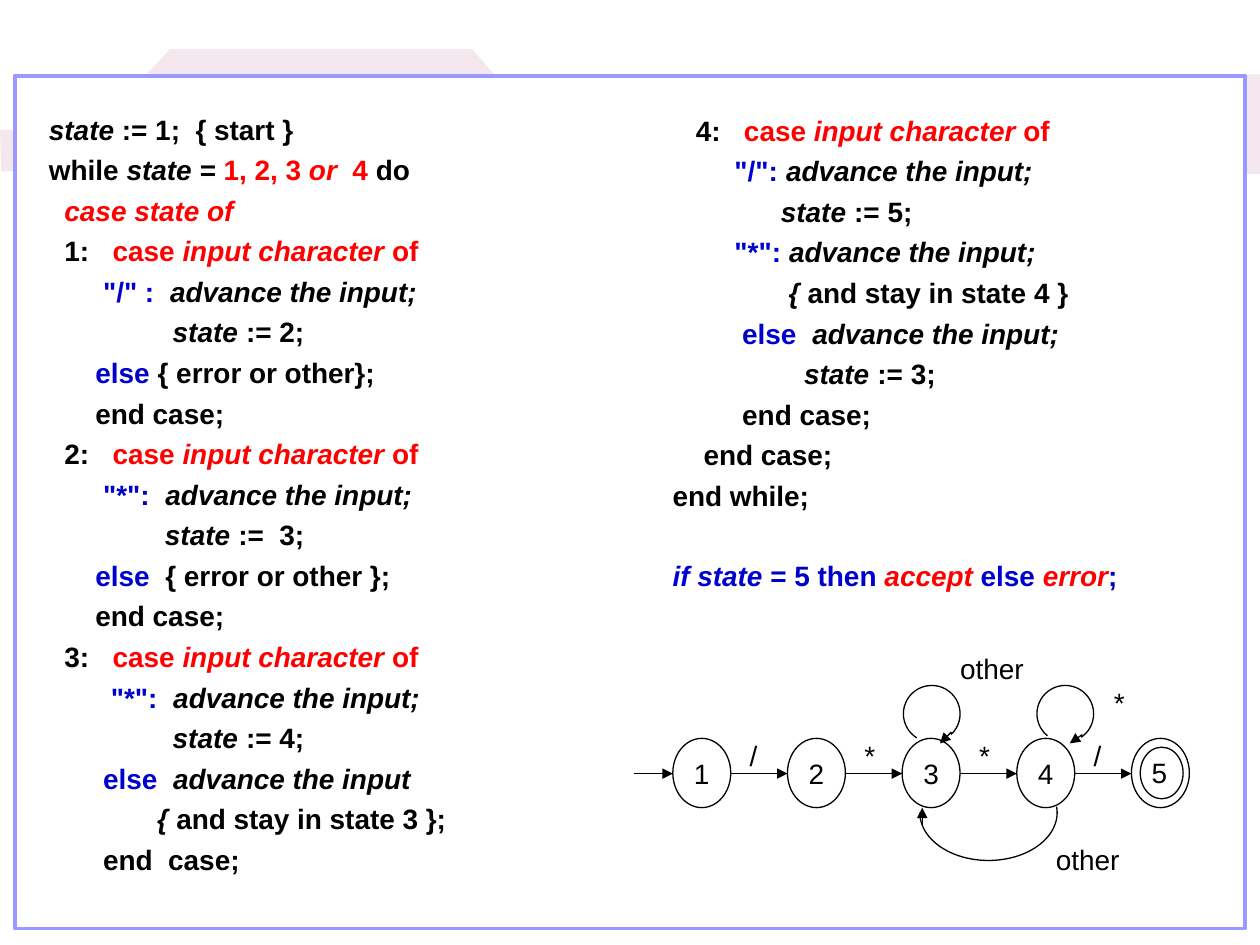
"""Build a slide with scanner pseudocode and the state diagram for comments."""
from lxml import etree
from pptx import Presentation
from pptx.dml.color import RGBColor
from pptx.enum.shapes import MSO_CONNECTOR, MSO_SHAPE
from pptx.enum.text import MSO_ANCHOR, PP_ALIGN
from pptx.oxml.ns import qn
from pptx.util import Inches, Pt

STRAIGHT = MSO_CONNECTOR.STRAIGHT
RECTANGLE, OVAL, ARC = MSO_SHAPE.RECTANGLE, MSO_SHAPE.OVAL, MSO_SHAPE.ARC
CENTER, LEFT = PP_ALIGN.CENTER, PP_ALIGN.LEFT
MIDDLE = MSO_ANCHOR.MIDDLE

BLACK = RGBColor(0x00, 0x00, 0x00)
WHITE = RGBColor(0xFF, 0xFF, 0xFF)
RED = RGBColor(0xFF, 0x00, 0x00)
BLUE = RGBColor(0x00, 0x00, 0xCC)
PINK = RGBColor(0xF4, 0xE7, 0xED)
LAVENDER = RGBColor(0x99, 0x99, 0xFF)

FONT, SIZE = "Arial", Pt(16)
LINE_GAP, SECTION_GAP = Pt(4), Pt(26.4)

PLAIN, ITALIC = (BLACK, False), (BLACK, True)
RED_PLAIN, RED_ITALIC = (RED, False), (RED, True)
BLUE_PLAIN, BLUE_ITALIC = (BLUE, False), (BLUE, True)

CASE_INPUT = [("case ", RED_PLAIN), ("input character ", RED_ITALIC), ("of", RED_PLAIN)]
ADVANCE = ("advance the input;", ITALIC)

LEFT_CODE = [
    [("state ", ITALIC), (":= 1;  { start }", PLAIN)],
    [("while ", PLAIN), ("state = ", ITALIC), ("1, 2, 3 ", RED_PLAIN),
     ("or  ", RED_ITALIC), ("4 ", RED_PLAIN), ("do", PLAIN)],
    [("  case state of", RED_ITALIC)],
    [("  1:   ", PLAIN), *CASE_INPUT],
    [('       "/" :  ', BLUE_PLAIN), ADVANCE],
    [("                state ", ITALIC), (":= 2;", PLAIN)],
    [("      else ", BLUE_PLAIN), ("{ error or other};", PLAIN)],
    [("      end case;", PLAIN)],
    [("  2:   ", PLAIN), *CASE_INPUT],
    [('       "*":  ', BLUE_PLAIN), ADVANCE],
    [("               state ", ITALIC), (":=  3;", PLAIN)],
    [("      else  ", BLUE_PLAIN), ("{ error or other };", PLAIN)],
    [("      end case;", PLAIN)],
    [("  3:   ", PLAIN), *CASE_INPUT],
    [('        "*":  ', BLUE_PLAIN), ADVANCE],
    [("                state ", ITALIC), (":= 4;", PLAIN)],
    [("       else  ", BLUE_PLAIN), ("advance the input", ITALIC)],
    [("              { ", ITALIC), ("and stay in state 3 };", PLAIN)],
    [("       end  case;", PLAIN)],
]
RIGHT_CODE = [
    [("   4:   ", PLAIN), *CASE_INPUT],
    [('        "/": ', BLUE_PLAIN), ADVANCE],
    [("              state ", ITALIC), (":= 5;", PLAIN)],
    [('        "*": ', BLUE_PLAIN), ADVANCE],
    [("               { ", ITALIC), ("and stay in state 4 }", PLAIN)],
    [("         else  ", BLUE_PLAIN), ADVANCE],
    [("                 state ", ITALIC), (":= 3;", PLAIN)],
    [("         end case;", PLAIN)],
    [("    end case;", PLAIN)],
    [("end while;", PLAIN)],
]
VERDICT = [("if state ", BLUE_ITALIC), ("= 5 then ", BLUE_PLAIN), ("accept ", RED_ITALIC),
           ("else ", BLUE_PLAIN), ("error", RED_ITALIC), (";", BLUE_PLAIN)]

BACKDROP = [(0, 1.03), (0.76, 1.03), (1.35, 0.39), (3.75, 0.39), (3.93, 0.6),
            (10, 0.59), (10, 1.38), (0.01, 1.36)]

STATES = ["1", "2", "3", "4", ""]
STATE_LEFT, STATE_TOP, STATE_PITCH = 5.34, 5.86, 0.91
STATE_WIDTH, STATE_HEIGHT = 0.46, 0.55
STATE_MIDDLE = 6.14
ENTRY_LEFT = 5.03
ACCEPT_RING = (9.05, 5.93, 0.34, 0.41)

LABELS = [("/", 5.95, 5.86, 0.15), ("*", 6.86, 5.86, 0.15), ("*", 7.77, 5.86, 0.15),
          ("/", 8.68, 5.86, 0.15), ("*", 8.84, 5.44, 0.15), ("5", 9.14, 6, 0.15),
          ("other", 7.62, 5.17, 0.58), ("other", 8.38, 6.69, 0.68)]
LABEL_HEIGHT = 0.28

ARCS = [((7.17, 5.44, 0.45, 0.45), 122, 47),
        ((8.23, 5.44, 0.45, 0.45), 129, 56),
        ((7.3, 6.07, 1.09, 0.76), 355, 180)]
ARC_TIPS = [(7.55, 5.81, 7.46, 5.9), (8.59, 5.83, 8.49, 5.9), (7.32, 6.55, 7.32, 6.41)]


def inches(values):
    return [Inches(value) for value in values]


def add_shape(slide, kind, box, fill=None, line=BLACK, width=0.75):
    shape = slide.shapes.add_shape(kind, *inches(box))
    shape.shadow.inherit = False
    if fill is None:
        shape.fill.background()
    else:
        shape.fill.solid()
        shape.fill.fore_color.rgb = fill
    shape.line.color.rgb = line
    shape.line.width = Pt(width)
    return shape


def add_backdrop(slide):
    start, *corners = [tuple(inches(point)) for point in BACKDROP]
    builder = slide.shapes.build_freeform(*start)
    builder.add_line_segments(corners)
    shape = builder.convert_to_shape()
    shape.shadow.inherit = False
    shape.fill.solid()
    shape.fill.fore_color.rgb = PINK
    shape.line.fill.background()


def add_code(slide, box, lines):
    frame = slide.shapes.add_textbox(*inches(box)).text_frame
    frame.word_wrap = True
    for index, line in enumerate(lines):
        paragraph = frame.add_paragraph() if index else frame.paragraphs[0]
        paragraph.font.name, paragraph.font.size, paragraph.font.bold = FONT, SIZE, True
        if index:
            paragraph.space_before = SECTION_GAP if line is VERDICT else LINE_GAP
        for text, (color, italic) in line:
            run = paragraph.add_run()
            run.text = text
            run.font.color.rgb = color
            run.font.italic = italic


def write_label(shape, text, alignment):
    frame = shape.text_frame
    frame.margin_left = frame.margin_right = frame.margin_top = frame.margin_bottom = 0
    paragraph = frame.paragraphs[0]
    paragraph.text = text
    paragraph.alignment = alignment
    paragraph.font.name, paragraph.font.size = FONT, SIZE
    paragraph.font.color.rgb = BLACK
    return frame


def add_arrow(slide, ends):
    arrow = slide.shapes.add_connector(STRAIGHT, *inches(ends))
    arrow.line.color.rgb = BLACK
    arrow.line.width = Pt(0.75)
    etree.SubElement(arrow.line._get_or_add_ln(), qn("a:tailEnd"), type="triangle")
    etree.SubElement(arrow._element.spPr, qn("a:effectLst"))


def add_diagram(slide):
    for index, name in enumerate(STATES):
        left = STATE_LEFT + index * STATE_PITCH
        state = add_shape(slide, OVAL, (left, STATE_TOP, STATE_WIDTH, STATE_HEIGHT))
        if name:
            write_label(state, name, CENTER).vertical_anchor = MIDDLE
        start = left - STATE_PITCH + STATE_WIDTH if index else ENTRY_LEFT
        add_arrow(slide, (start, STATE_MIDDLE, left, STATE_MIDDLE))
    add_shape(slide, OVAL, ACCEPT_RING)
    for box, start_angle, end_angle in ARCS:
        arc = add_shape(slide, ARC, box)
        arc.adjustments[0] = start_angle * 0.6 * 100 / 100
        arc.adjustments[1] = end_angle * 0.6
        for index, angle in enumerate((start_angle, end_angle)):
            arc.adjustments[index] = angle * 60000 / 100000
    for ends in ARC_TIPS:
        add_arrow(slide, ends)
    for text, left, top, width in LABELS:
        box = slide.shapes.add_textbox(*inches((left, top, width, LABEL_HEIGHT)))
        write_label(box, text, LEFT).word_wrap = True


def main():
    presentation = Presentation()
    presentation.slide_width, presentation.slide_height = Inches(10), Inches(7.5)
    slide = presentation.slides.add_slide(presentation.slide_layouts[6])
    add_backdrop(slide)
    add_shape(slide, RECTANGLE, (0.12, 0.6, 9.76, 6.77), WHITE, LAVENDER, 2.25)
    add_code(slide, (0.29, 0.84, 4.79, 6.29), LEFT_CODE)
    add_code(slide, (5.24, 0.85, 4.37, 4.5), [*RIGHT_CODE, VERDICT])
    add_diagram(slide)
    presentation.save("out.pptx")


if __name__ == "__main__":
    main()
